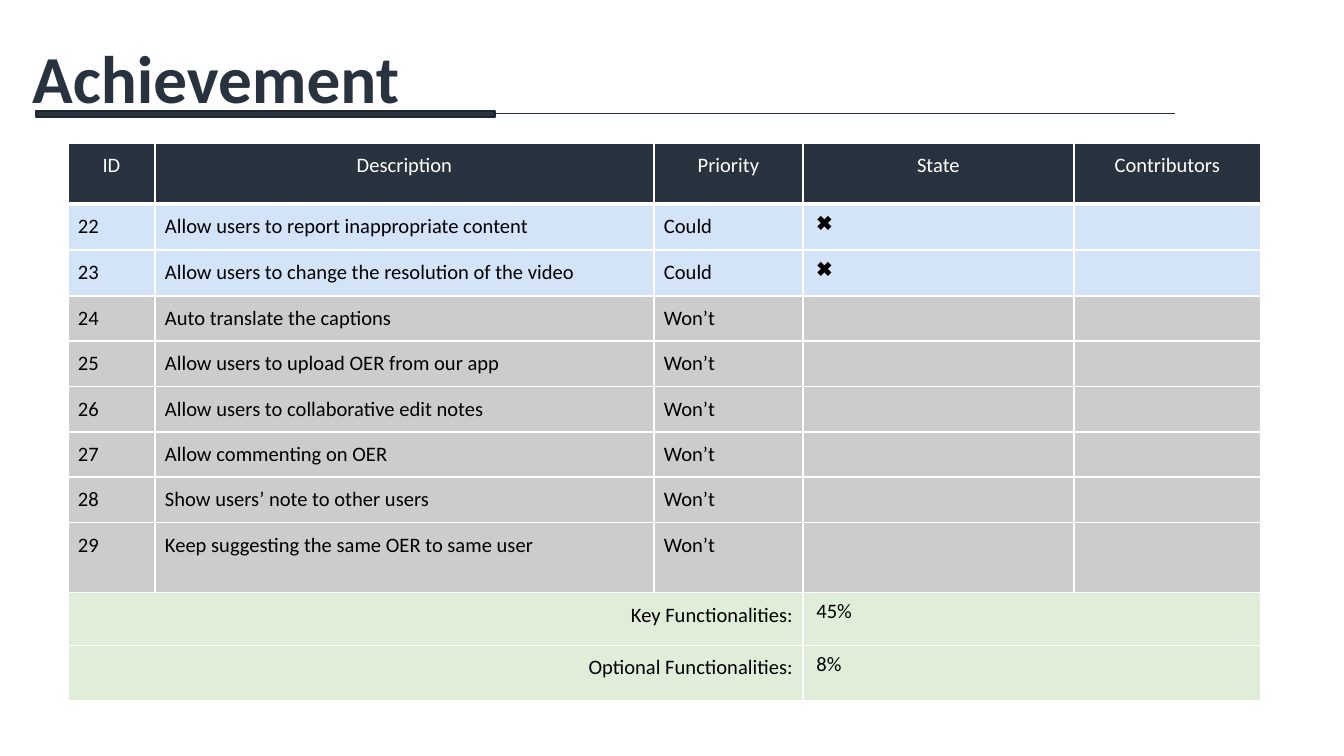
"""Build the Achievement slide with its requirements table."""
from lxml import etree
from pptx import Presentation
from pptx.dml.color import RGBColor
from pptx.enum.shapes import MSO_CONNECTOR, MSO_SHAPE
from pptx.enum.text import PP_ALIGN
from pptx.oxml.ns import qn
from pptx.util import Pt

LEFT, CENTER, RIGHT = PP_ALIGN.LEFT, PP_ALIGN.CENTER, PP_ALIGN.RIGHT
STRAIGHT, RECTANGLE = MSO_CONNECTOR.STRAIGHT, MSO_SHAPE.RECTANGLE
PX = 9144000 / 1344
COLORS = {"navy": "29323F", "edge": "1E252F", "white": "FFFFFF",
          "black": "000000", "blue": "1C72DB", "green": "70AD47"}
HEADER = ["ID", "Description", "Priority", "State", "Contributors"]
COULD = ["Allow users to report inappropriate content",
         "Allow users to change the resolution of the video"]
WONT = ["Auto translate the captions", "Allow users to upload OER from our app",
        "Allow users to collaborative edit notes", "Allow commenting on OER",
        "Show users’ note to other users",
        "Keep suggesting the same OER to same user"]
TOTALS = [("Key Functionalities:", "45%"), ("Optional Functionalities:", "8%")]
COLUMN_WIDTHS = [87, 499, 149, 271, 187]
ROW_HEIGHTS = [61, 46, 46] + [44] * 5 + [70, 53, 56]


def px(*lengths):
    return [round(length * PX) for length in lengths]


def write(frame, text, color, size=11, bold=False, alignment=LEFT):
    para = frame.paragraphs[0]
    para.alignment = alignment
    if not text:
        etree.SubElement(para._p, qn("a:endParaRPr"), sz=str(size * 100))
        return
    span = para.add_run()
    span.text = text
    for name, value in {"name": "Calibri", "size": Pt(size), "bold": bold}.items():
        setattr(span.font, name, value)
    span.font.color.rgb = RGBColor.from_string(COLORS[color])


deck = Presentation()
deck.slide_width, deck.slide_height = px(1344, 756)
page = deck.slides.add_slide(deck.slide_layouts[6])

rule = page.shapes.add_connector(STRAIGHT, *px(1175, 114, 36, 114))
rule.line.width = Pt(0.5)
rule.line.color.rgb = RGBColor.from_string(COLORS["navy"])
etree.SubElement(rule._element.spPr, qn("a:effectLst"))
bar = page.shapes.add_shape(RECTANGLE, *px(36, 111, 459, 6))
bar.shadow.inherit = False
bar.fill.solid()
bar.fill.fore_color.rgb = RGBColor.from_string(COLORS["navy"])
bar.line.width = Pt(1)
bar.line.color.rgb = RGBColor.from_string(COLORS["edge"])
rule.end_connect(bar, 1)

rows = [(HEADER, "navy", 100)]
for number, task in enumerate(COULD + WONT, 22):
    if task in COULD:
        rows.append(([str(number), task, "Could", "✖️", ""], "blue", 19))
    else:
        rows.append(([str(number), task, "Won’t", "", ""], "black", 20))
for label, share in TOTALS:
    rows.append(([label, "", "", share, ""], "green", 21))

table = page.shapes.add_table(
    len(rows), len(HEADER), *px(68, 143, sum(COLUMN_WIDTHS), sum(ROW_HEIGHTS))).table
table.first_row = table.horz_banding = False
for column, width in zip(table.columns, COLUMN_WIDTHS):
    column.width, = px(width)
for row, height in zip(table.rows, ROW_HEIGHTS):
    row.height, = px(height)
for index in range(len(rows) - len(TOTALS), len(rows)):
    table.cell(index, 0).merge(table.cell(index, 2))
    table.cell(index, 3).merge(table.cell(index, 4))

for row_index, (texts, fill, opacity) in enumerate(rows):
    header, total = row_index == 0, fill == "green"
    for column_index, text in enumerate(texts):
        cell = table.cell(row_index, column_index)
        if header or column_index < 3:
            for side in ("left", "top", "right", "bottom"):
                setattr(cell, f"margin_{side}", *px(10))
        alignment = CENTER if header else RIGHT if total and column_index == 0 else LEFT
        write(cell.text_frame, text, "white" if header else "black", alignment=alignment)
        cell.fill.solid()
        cell.fill.fore_color.rgb = RGBColor.from_string(COLORS[fill])
        properties = cell._tc.tcPr
        if opacity < 100:
            shade = properties.find(f".//{qn('a:srgbClr')}")
            etree.SubElement(shade, qn("a:alpha"), val=str(opacity * 1000))
        widths = {"L": 1, "R": 1, "T": 3 if row_index == 1 else 1, "B": 3 if header else 1}
        for position, (side, width) in enumerate(widths.items()):
            border = etree.Element(qn(f"a:ln{side}"), w=str(Pt(width)))
            paint = etree.SubElement(border, qn("a:solidFill"))
            etree.SubElement(paint, qn("a:srgbClr"), val=COLORS["white"])
            properties.insert(position, border)

title = page.shapes.add_textbox(*px(19, 30, 473, 95))
title.text_frame.word_wrap = False
write(title.text_frame, "Achievement", "navy", size=36, bold=True)

deck.save("out.pptx")
